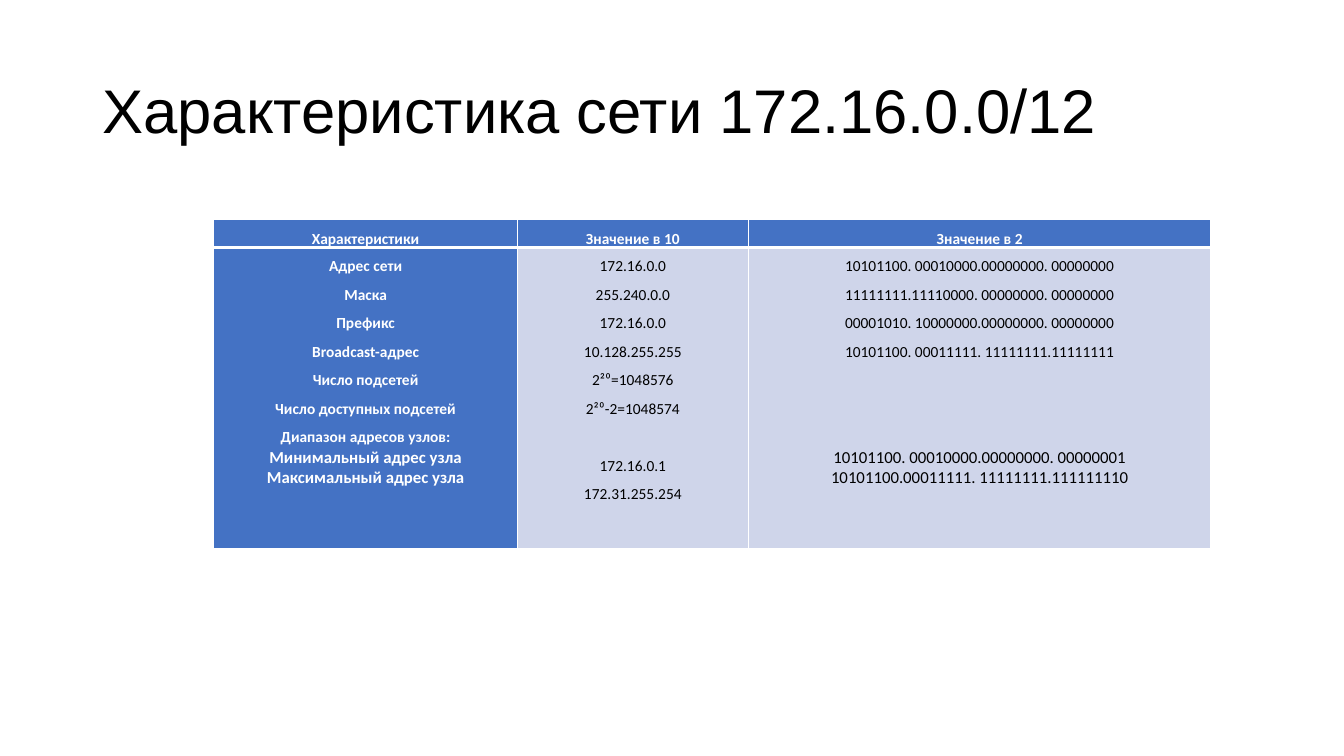
from dataclasses import dataclass

from lxml.etree import SubElement
from pptx import Presentation
from pptx.dml.color import RGBColor
from pptx.enum.text import MSO_ANCHOR, PP_ALIGN
from pptx.oxml.ns import qn
from pptx.slide import Slide
from pptx.table import _Cell
from pptx.util import Cm, Length, Pt


@dataclass(frozen=True)
class Theme:
    title_font: str = "Arial"
    table_font: str = "Calibri"
    title_size: Length = Pt(44)
    row_size: Length = Pt(11)
    node_size: Length = Pt(12)
    skipped_row: Length = Pt(20.4)
    thin_rule: Length = Pt(1)
    header_rule: Length = Pt(3)
    black: RGBColor = RGBColor(0x00, 0x00, 0x00)
    white: RGBColor = RGBColor(0xFF, 0xFF, 0xFF)
    accent: RGBColor = RGBColor(0x44, 0x72, 0xC4)
    pale: RGBColor = RGBColor(0xCF, 0xD5, 0xEA)


THEME = Theme()


@dataclass(frozen=True)
class Line:
    text: str
    skipped_rows: int = 0
    is_node: bool = False  # node addresses are larger and single spaced


@dataclass(frozen=True)
class Column:
    heading: str
    width: Length
    lines: list[Line]


COLUMNS = [
    Column("Характеристики", Cm(7.65), [
        Line("Адрес сети"),
        Line("Маска"),
        Line("Префикс"),
        Line("Broadcast-адрес"),
        Line("Число подсетей"),
        Line("Число доступных подсетей"),
        Line("Диапазон адресов узлов:"),
        Line("Минимальный адрес узла Максимальный адрес узла", is_node=True),
    ]),
    Column("Значение в 10", Cm(5.82), [
        Line("172.16.0.0"),
        Line("255.240.0.0"),
        Line("172.16.0.0"),
        Line("10.128.255.255"),
        Line("2²⁰=1048576"),
        Line("2²⁰-2=1048574"),
        Line("172.16.0.1", skipped_rows=1),
        Line("172.31.255.254"),
    ]),
    Column("Значение в 2", Cm(11.66), [
        Line("10101100. 00010000.00000000. 00000000"),
        Line("11111111.11110000. 00000000. 00000000"),
        Line("00001010. 10000000.00000000. 00000000"),
        Line("10101100. 00011111. 11111111.11111111"),
        Line("10101100. 00010000.00000000. 00000001", skipped_rows=3, is_node=True),
        Line("10101100.00011111. 11111111.111111110", is_node=True),
    ]),
]
ROW_HEIGHTS = [Cm(0.69), Cm(7.59)]


def add_title(page: Slide, text: str) -> None:
    frame = page.shapes.add_textbox(Cm(2.33), Cm(1.01), Cm(29.21), Cm(3.68)).text_frame
    frame.word_wrap = True
    frame.vertical_anchor = MSO_ANCHOR.MIDDLE
    para = frame.paragraphs[0]
    para.text = text
    para.line_spacing = 0.9
    para.font.name = THEME.title_font
    para.font.size = THEME.title_size
    para.font.color.rgb = THEME.black


def set_borders(cell: _Cell, top: Length, bottom: Length) -> None:
    """Rule all four sides in white; the border elements must precede the fill."""
    properties = cell._tc.get_or_add_tcPr()
    sides = {"lnL": THEME.thin_rule, "lnR": THEME.thin_rule, "lnT": top, "lnB": bottom}
    for position, (side, width) in enumerate(sides.items()):
        border = SubElement(properties, qn(f"a:{side}"), w=str(int(width)))
        SubElement(SubElement(border, qn("a:solidFill")), qn("a:srgbClr"), val=str(THEME.white))
        properties.insert(position, border)


def fill_cell(cell: _Cell, lines: list[Line], is_heading: bool) -> None:
    cell.margin_left = cell.margin_right = Cm(0.19)
    cell.margin_top = cell.margin_bottom = 0
    cell.fill.solid()
    cell.fill.fore_color.rgb = THEME.accent if is_heading else THEME.pale
    frame = cell.text_frame
    for index, line in enumerate(lines):
        para = frame.add_paragraph() if index else frame.paragraphs[0]
        para.text = line.text
        para.alignment = PP_ALIGN.CENTER
        para.line_spacing = 1.0 if line.is_node else 1.5
        para.space_before = Pt(line.skipped_rows * THEME.skipped_row.pt)
        para.font.name = THEME.table_font
        para.font.size = THEME.node_size if line.is_node else THEME.row_size
        para.font.bold = is_heading
        para.font.color.rgb = THEME.white if is_heading else THEME.black


def add_network_table(page: Slide) -> None:
    width = sum(column.width for column in COLUMNS)
    table = page.shapes.add_table(
        len(ROW_HEIGHTS), len(COLUMNS), Cm(5.39), Cm(5.54), width, sum(ROW_HEIGHTS)
    ).table
    for row, height in zip(table.rows, ROW_HEIGHTS):
        row.height = height
    for index, column in enumerate(COLUMNS):
        table.columns[index].width = column.width
        header, body = table.cell(0, index), table.cell(1, index)
        fill_cell(header, [Line(column.heading)], is_heading=True)
        fill_cell(body, column.lines, is_heading=index == 0)
        set_borders(header, top=THEME.thin_rule, bottom=THEME.header_rule)
        set_borders(body, top=THEME.header_rule, bottom=THEME.thin_rule)


def main() -> None:
    deck = Presentation()
    deck.slide_width, deck.slide_height = Cm(33.87), Cm(19.05)
    page = deck.slides.add_slide(deck.slide_layouts[6])
    add_title(page, "Характеристика сети 172.16.0.0/12")
    add_network_table(page)
    deck.save("out.pptx")


if __name__ == "__main__":
    main()
